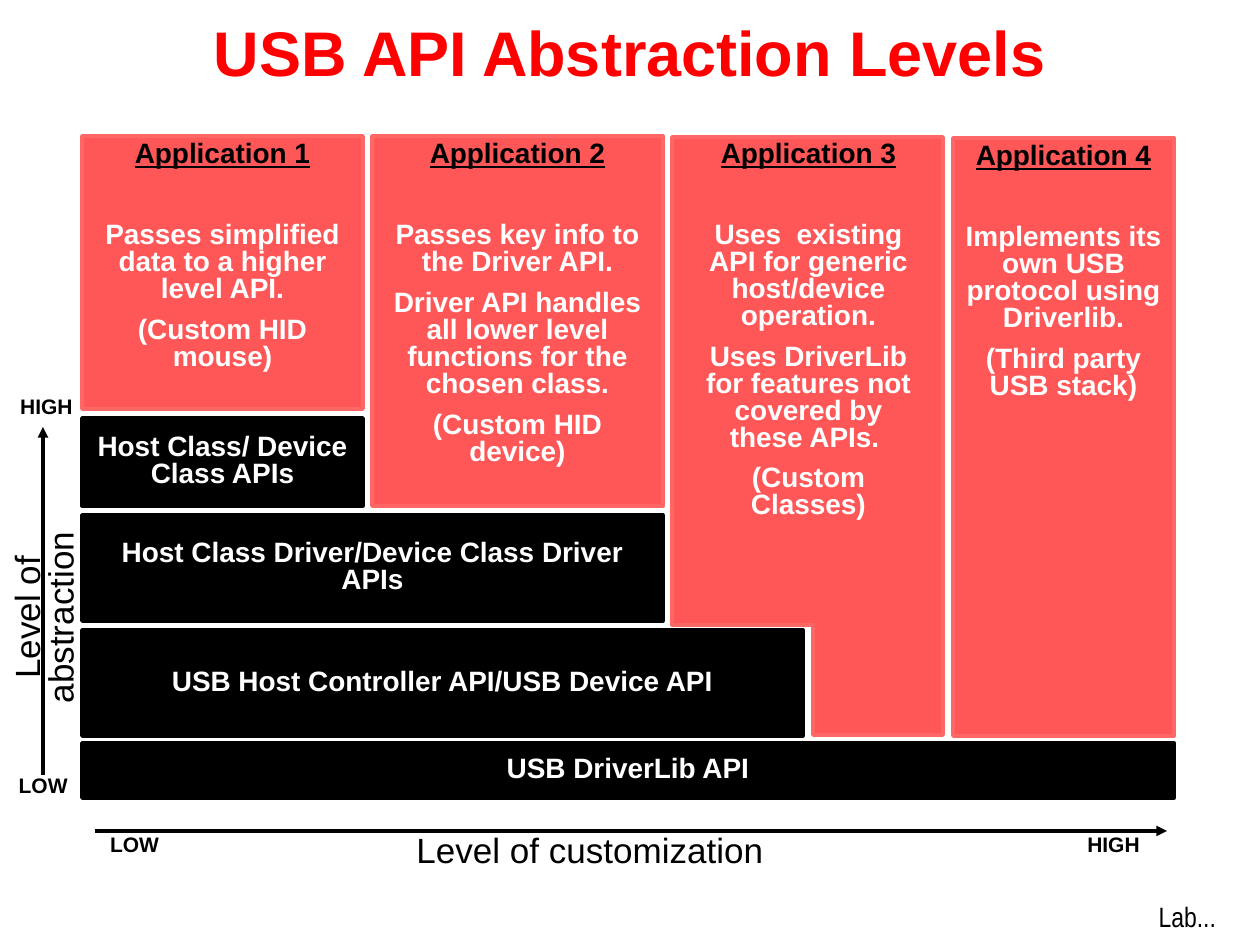
from dataclasses import dataclass

from lxml.etree import SubElement
from pptx import Presentation
from pptx.dml.color import RGBColor
from pptx.enum.shapes import MSO_CONNECTOR, MSO_SHAPE as Shape
from pptx.enum.text import MSO_ANCHOR as Anchor, PP_ALIGN as Align
from pptx.oxml.ns import qn
from pptx.util import Pt

EMU_PER_PX = 914400 / 126
RED = RGBColor(0xFF, 0x00, 0x00)
PINK = RGBColor(0xFF, 0x66, 0x66)
BLACK = RGBColor(0x00, 0x00, 0x00)
WHITE = RGBColor(0xFF, 0xFF, 0xFF)
RED_ALPHA = 66000


@dataclass
class Box:
    left: int
    top: int
    width: int
    height: int

    def emu(self) -> list[int]:
        return [px(v) for v in (self.left, self.top, self.width, self.height)]


@dataclass
class Layer:
    text: str
    box: Box


@dataclass
class Application:
    heading: str
    body: list[str]
    box: Box
    is_corner: bool = False


@dataclass
class Label:
    text: str
    box: Box
    size: int = 12
    bold: bool = True
    align: Align = Align.CENTER
    rotation: int = 0


def px(value: int) -> int:
    return round(value * EMU_PER_PX)


LAYERS = [
    Layer("USB DriverLib API", Box(82, 743, 1092, 55)),
    Layer("USB Host Controller API/USB Device API", Box(82, 630, 721, 106)),
    Layer("Host Class Driver/Device Class Driver APIs", Box(82, 515, 581, 106)),
    Layer("Host Class/ Device Class APIs", Box(82, 418, 281, 88)),
]
APPLICATIONS = [
    Application("Application 4",
                ["Implements its own USB protocol using Driverlib.",
                 "(Third party USB stack)"], Box(953, 138, 221, 598)),
    Application("Application 3",
                ["Uses  existing API for generic host/device operation.",
                 "Uses DriverLib for features not covered by these APIs. ",
                 "(Custom Classes)"], Box(683, 136, 251, 406), is_corner=True),
    Application("Application 2",
                ["Passes key info to the Driver API.",
                 "Driver API handles all lower level functions for the chosen class.",
                 "(Custom HID device)"], Box(372, 136, 291, 370)),
    Application("Application 1",
                ["Passes simplified data to a higher level API.",
                 "(Custom HID mouse)"], Box(82, 136, 281, 273)),
]
CORNER_BOX = Box(672, 137, 271, 598)
LABELS = [
    Label("Level of customization", Box(357, 830, 466, 47), 20, False),
    Label("Level of abstraction", Box(-111, 577, 317, 81), 20, False, rotation=270),
    Label("LOW", Box(82, 830, 105, 33)),
    Label("HIGH", Box(1061, 830, 105, 33)),
    Label("HIGH", Box(-20, 392, 105, 38), align=Align.RIGHT),
    Label("LOW", Box(-25, 771, 105, 38), align=Align.RIGHT),
]


def format_paragraph(paragraph, size: int, color: RGBColor, bold: bool = True,
                     align: Align = Align.CENTER, font: str = "Arial") -> None:
    paragraph.alignment = align
    paragraph.line_spacing = 0.8
    for run in paragraph.runs:
        run.font.name = font
        run.font.size = Pt(size)
        run.font.bold = bold
        run.font.color.rgb = color


def add_block(slide, kind: Shape, box: Box, fill: RGBColor, line: RGBColor):
    shape = slide.shapes.add_shape(kind, *box.emu())
    shape.shadow.inherit = False
    shape.fill.solid()
    shape.fill.fore_color.rgb = fill
    shape.line.color.rgb = line
    shape.line.width = Pt(2)
    if fill == RED:
        color = shape._element.spPr.find(qn("a:solidFill")).find(qn("a:srgbClr"))
        SubElement(color, qn("a:alpha")).set("val", str(RED_ALPHA))
    return shape


def add_text_box(slide, box: Box):
    text_box = slide.shapes.add_textbox(*box.emu())
    text_box.text_frame.word_wrap = True
    return text_box


def add_layer(slide, layer: Layer) -> None:
    shape = add_block(slide, Shape.RECTANGLE, layer.box, BLACK, BLACK)
    shape.text_frame.vertical_anchor = Anchor.MIDDLE
    shape.text_frame.text = layer.text
    format_paragraph(shape.text_frame.paragraphs[0], 16, WHITE)


def add_application(slide, application: Application) -> None:
    if application.is_corner:
        corner = add_block(slide, Shape.CORNER, CORNER_BOX, RED, PINK)
        corner.rotation = 180
        corner.adjustments[0] = 1.8
        corner.adjustments[1] = 0.48
        shape = add_text_box(slide, application.box)
    else:
        shape = add_block(slide, Shape.RECTANGLE, application.box, RED, PINK)
    frame = shape.text_frame
    frame.vertical_anchor = Anchor.TOP
    frame.text = "\n".join([application.heading, *application.body])
    heading, *body = frame.paragraphs
    format_paragraph(heading, 16, BLACK)
    heading.runs[0].font.underline = True
    for index, paragraph in enumerate(body):
        format_paragraph(paragraph, 16, WHITE)
        paragraph.space_before = Pt(8 if index else 31)


def add_label(slide, label: Label) -> None:
    text_box = add_text_box(slide, label.box)
    text_box.rotation = label.rotation
    text_box.text_frame.text = label.text
    format_paragraph(text_box.text_frame.paragraphs[0], label.size, BLACK,
                     label.bold, label.align)


def add_arrow(slide, start: tuple[int, int], end: tuple[int, int]) -> None:
    arrow = slide.shapes.add_connector(
        MSO_CONNECTOR.STRAIGHT, *(px(v) for v in (*start, *end)))
    arrow.line.color.rgb = BLACK
    arrow.line.width = Pt(2)
    properties = arrow._element.spPr
    SubElement(properties.find(qn("a:ln")), qn("a:tailEnd")).set("type", "triangle")
    SubElement(properties, qn("a:effectLst"))


def main() -> None:
    presentation = Presentation()
    presentation.slide_width = px(1260)
    presentation.slide_height = px(945)
    slide = presentation.slides.add_slide(presentation.slide_layouts[5])

    # Title
    title = slide.shapes.title
    title.left, title.top, title.width, title.height = Box(0, 0, 1260, 102).emu()
    title.text_frame.text = "USB API Abstraction Levels"
    title.text_frame.vertical_anchor = Anchor.MIDDLE
    format_paragraph(title.text_frame.paragraphs[0], 36, RED)
    title.text_frame.paragraphs[0].line_spacing = 1.0

    # API layers and the applications resting on them
    for layer in LAYERS:
        add_layer(slide, layer)
    for application in APPLICATIONS:
        add_application(slide, application)

    # Axes
    add_arrow(slide, (43, 775), (43, 427))
    add_arrow(slide, (95, 831), (1167, 831))
    for label in LABELS:
        add_label(slide, label)

    # Footer
    footer = slide.shapes.add_textbox(*Box(1158, 905, 58, 28).emu())
    frame = footer.text_frame
    frame.margin_left = frame.margin_top = frame.margin_right = frame.margin_bottom = 0
    frame.word_wrap = False
    frame.vertical_anchor = Anchor.BOTTOM
    frame.text = "Lab..."
    format_paragraph(frame.paragraphs[0], 16, BLACK, False, Align.RIGHT, "Arial Narrow")

    presentation.save("out.pptx")


if __name__ == "__main__":
    main()
